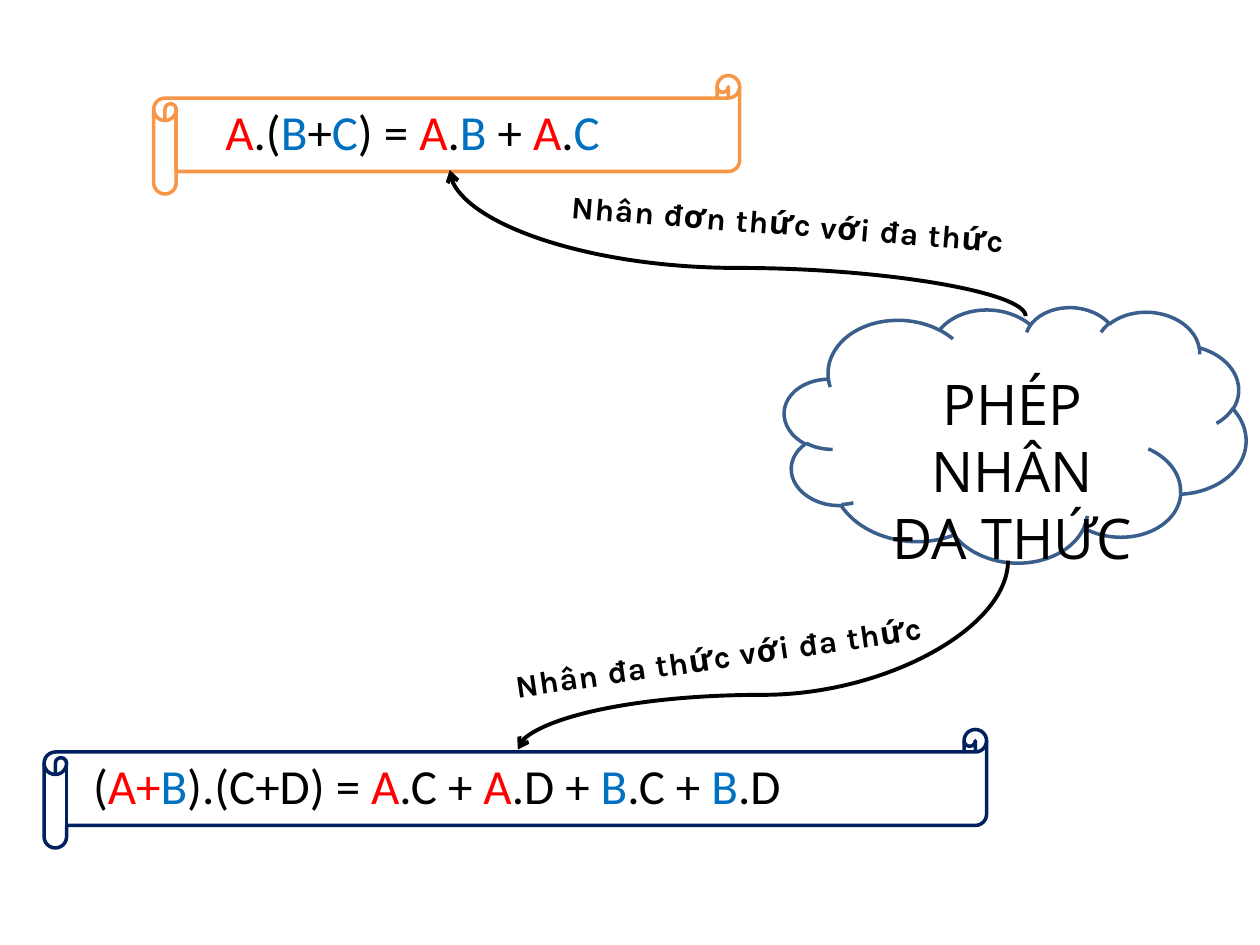
from lxml.etree import SubElement
from pptx import Presentation
from pptx.dml.color import RGBColor
from pptx.enum.shapes import MSO_CONNECTOR as Link, MSO_SHAPE as Kind
from pptx.enum.text import PP_ALIGN as Align
from pptx.oxml.ns import qn
from pptx.util import Inches, Pt

INK = {"k": "000000", "r": "FF0000", "b": "0070C0",
       "cloud": "3A5F8C", "orange": "F79646", "navy": "002060"}


class Map:
    """Holds the slide and its style, and draws each kind of element."""

    def __init__(self, slide):
        """Keep the slide to draw on."""
        self.shapes = slide.shapes

    def paint(self, line, ink, width):
        """Set the colour and width of a line."""
        line.color.rgb = RGBColor.from_string(INK[ink])
        line.width = Pt(width)

    def shape(self, kind, box, ink, turn=0, adj=None):
        """Draw an unfilled outline shape."""
        item = self.shapes.add_shape(kind, *map(Inches, box))
        item.shadow.inherit = False
        item.fill.background()
        self.paint(item.line, ink, 2)
        item.rotation = turn
        if adj is not None:
            item.adjustments[0] = adj

    def text(self, box, lines, font, size, align=Align.CENTER,
             turn=0, bold=False, gap=0, wrap=False):
        """Write lines, each a list of (ink, words) runs."""
        item = self.shapes.add_textbox(*map(Inches, box))
        item.rotation = turn
        frame = item.text_frame
        frame.word_wrap = wrap
        for i, line in enumerate(lines):
            para = frame.add_paragraph() if i else frame.paragraphs[0]
            para.alignment = align
            for ink, words in line:
                run = para.add_run()
                run.text = words
                run.font.name = font
                run.font.size = Pt(size)
                run.font.bold = bold
                run.font.color.rgb = RGBColor.from_string(INK[ink])
                if gap:
                    run._r.get_or_add_rPr().set("spc", str(int(gap * 100)))

    def scroll(self, box, ink, words, runs):
        """Draw a scroll with a coloured formula in it."""
        self.shape(Kind.HORIZONTAL_SCROLL, box, ink, adj=0.19)
        self.text(words, [runs], "Calibri", 28, Align.LEFT, wrap=True)

    def label(self, left, top, words, turn):
        """Write a tilted caption beside an arrow."""
        self.text((left, top, 3.74, 0.4), [[("k", words)]], "Karla", 18,
                  turn=turn, bold=True, gap=0.5)

    def arrow(self, x1, y1, x2, y2, bend):
        """Draw a curved arrow that leaves and arrives vertically."""
        up = y2 < y1
        mx, my = (x1 + x2) / 2, (y1 + y2) / 2
        dx = abs(y2 - y1) / 2
        dy = abs(x2 - x1) / 2 * (1 if up else -1)
        item = self.shapes.add_connector(
            Link.CURVE, *map(Inches, (mx - dx, my + dy, mx + dx, my - dy)))
        self.paint(item.line, "k", 2.25)
        prop = item._element.spPr
        prop.find(qn("a:xfrm")).set("rot", str((270 if up else 90) * 60000))
        geom = prop.find(qn("a:prstGeom"))
        vals = geom.find(qn("a:avLst"))
        if vals is None:
            vals = SubElement(geom, qn("a:avLst"))
        SubElement(vals, qn("a:gd"), name="adj1",
                   fmla=f"val {round(bend * 100000)}")
        SubElement(prop.find(qn("a:ln")), qn("a:tailEnd"), type="arrow")
        SubElement(prop, qn("a:effectLst"))


deck = Presentation()
deck.slide_width, deck.slide_height = Inches(10), Inches(7.5)
mind = Map(deck.slides.add_slide(deck.slide_layouts[6]))

mind.shape(Kind.CLOUD, (6.22, 2.41, 3.67, 2.05), "cloud", turn=3.4)
mind.text((6.74, 2.88, 2.59, 1.18),
          [[("k", "PHÉP NHÂN")], [("k", "ĐA THỨC")]], "Open Sans", 32)

mind.scroll((1.22, 0.6, 4.65, 0.94), "orange", (1.69, 0.76, 3.78, 0.57), [
    ("r", "A"), ("k", ".("), ("b", "B"), ("k", "+"), ("b", "C"),
    ("k", ") = "), ("r", "A"), ("k", "."), ("b", "B"), ("k", " + "),
    ("r", "A"), ("k", "."), ("b", "C")])
mind.scroll((0.35, 5.79, 7.48, 0.94), "navy", (0.64, 5.95, 6.94, 0.57), [
    ("k", "("), ("r", "A+"), ("b", "B"), ("k", ").(C+D) = "),
    ("r", "A"), ("k", ".C + "), ("r", "A"), ("k", ".D + "),
    ("b", "B"), ("k", ".C + "), ("b", "B"), ("k", ".D")])

mind.arrow(8.14, 2.51, 3.57, 1.35, 0.33)
mind.arrow(8, 4.45, 4.11, 5.95, 0.71)
mind.label(4.38, 1.57, "Nhân đơn thức với đa thức", 4.5)
mind.label(3.83, 5.01, "Nhân đa thức với đa thức", 351.7)

deck.save("out.pptx")
